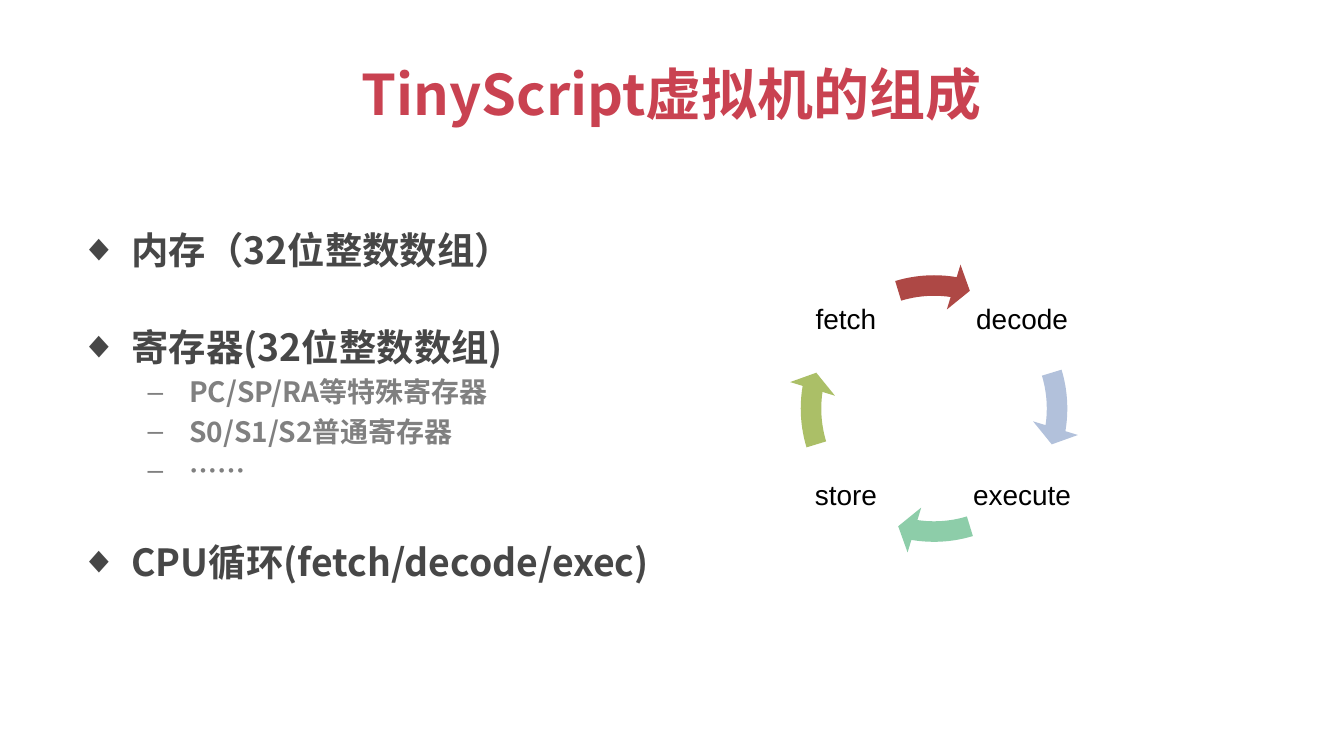
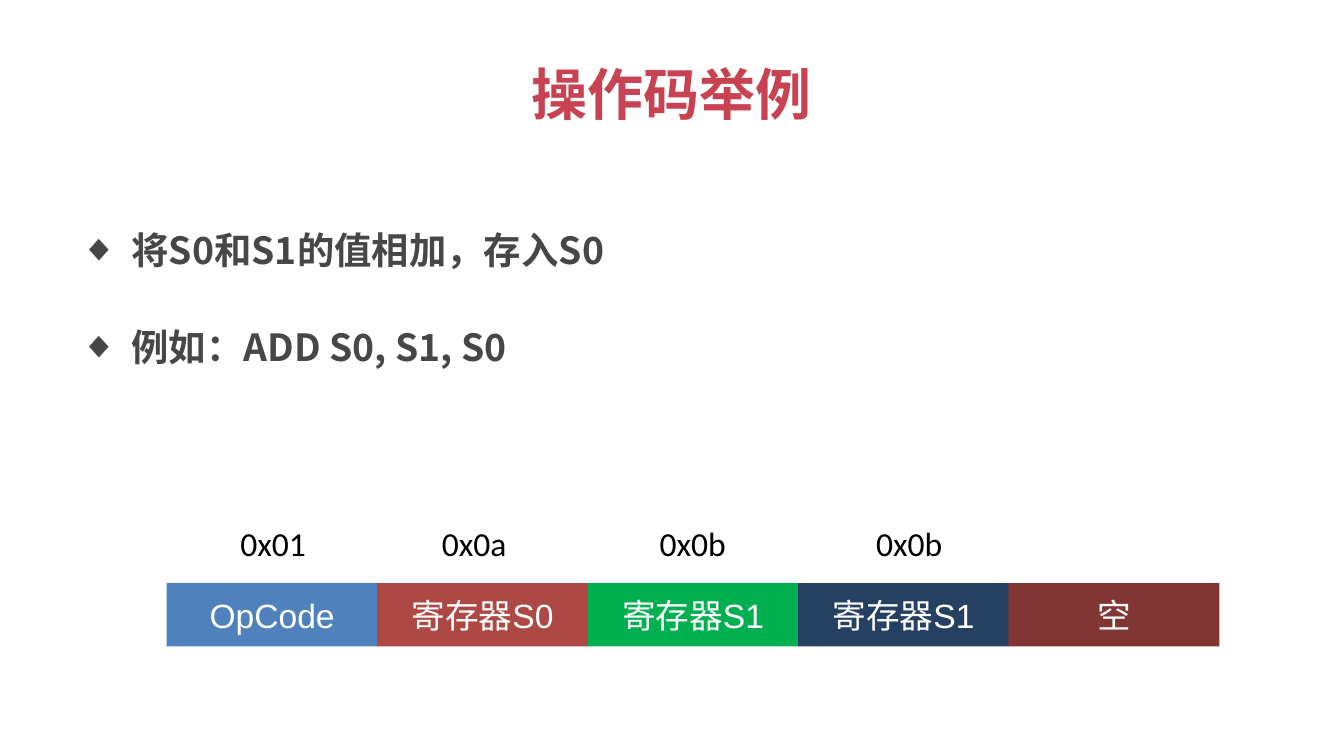
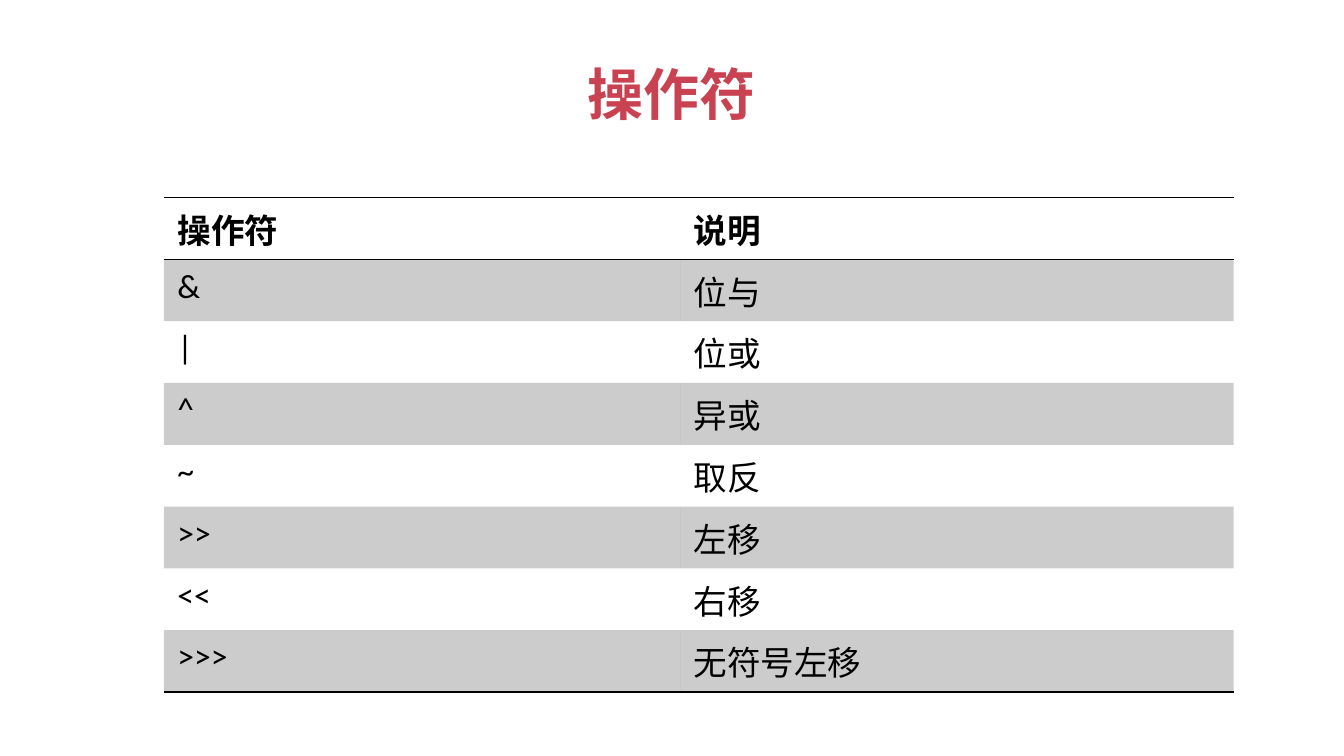
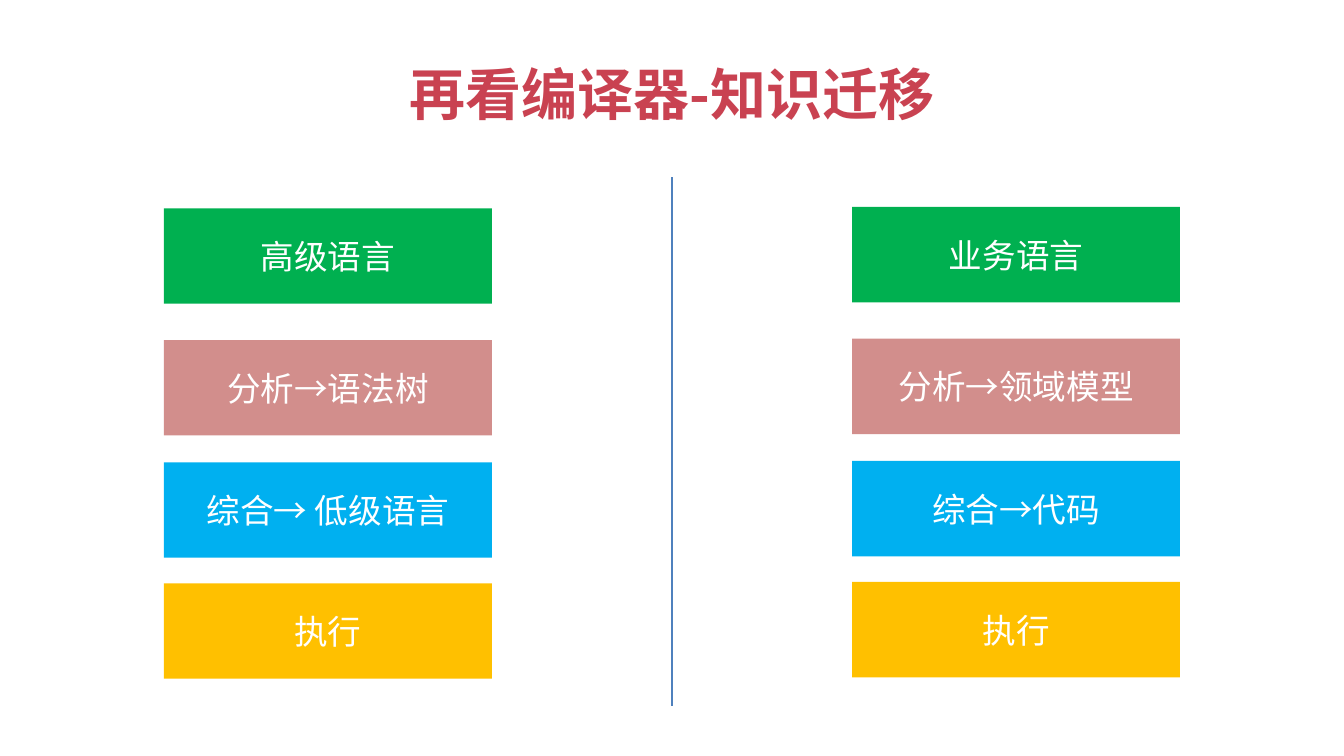
from dataclasses import dataclass

from lxml import etree
from pptx import Presentation
from pptx.dml.color import RGBColor
from pptx.enum.shapes import MSO_CONNECTOR, MSO_SHAPE
from pptx.enum.text import MSO_ANCHOR, MSO_AUTO_SIZE, PP_ALIGN
from pptx.oxml.ns import qn
from pptx.util import Inches, Pt

RECT = MSO_SHAPE.RECTANGLE
ARC = MSO_SHAPE.CIRCULAR_ARROW
LINE = MSO_CONNECTOR.STRAIGHT
LEFT, CENTER = PP_ALIGN.LEFT, PP_ALIGN.CENTER
TOP, MIDDLE = MSO_ANCHOR.TOP, MSO_ANCHOR.MIDDLE
FIT = MSO_AUTO_SIZE.SHAPE_TO_FIT_TEXT
PLAIN = "{2D5ABB26-0587-4C30-8999-92F81FD0307C}"


@dataclass(frozen=True)
class Theme:
    han: str = "Noto Sans CJK SC"
    sans: str = "Arial"
    label: str = "Calibri"
    title: str = "C94251"
    body: str = "474747"
    muted: str = "808080"
    black: str = "000000"
    white: str = "FFFFFF"
    blue: str = "4F81BD"
    red: str = "AE4845"
    green: str = "00B050"
    navy: str = "254061"
    maroon: str = "823634"
    rose: str = "D28E8C"
    sky: str = "00B0F0"
    gold: str = "FFC000"
    steel: str = "B2C1DB"
    mint: str = "8DCDA9"
    olive: str = "ABBF67"
    head: int = 30
    main: int = 20
    text: int = 18
    small: int = 15


T = Theme()


def color(code):
    return RGBColor.from_string(code)


def node(parent, tag, **attrs):
    return etree.SubElement(parent, qn(tag), **attrs)


def write(par, text, size=T.text, font=T.sans, tint=T.black, bold=False,
          align=LEFT, space=None, before=None):
    par.alignment = align
    if space is not None:
        par.line_spacing = space
    if before is not None:
        par.space_before = Pt(before)
    run = par.add_run()
    run.text = text
    run.font.size = Pt(size)
    run.font.name = font
    run.font.bold = bold
    run.font.color.rgb = color(tint)
    node(run.font._element, "a:ea", typeface=T.han)


def box(slide, x, y, w, h, anchor=TOP, pad=None, wrap=True):
    shape = slide.shapes.add_textbox(Inches(x), Inches(y), Inches(w), Inches(h))
    frame = shape.text_frame
    frame.word_wrap = wrap
    frame.vertical_anchor = anchor
    if not wrap:
        frame.auto_size = FIT
    if pad is not None:
        frame.margin_left = frame.margin_right = Inches(pad)
        frame.margin_top = frame.margin_bottom = Inches(pad)
    return frame


def solid(slide, kind, x, y, w, h, fill):
    shape = slide.shapes.add_shape(kind, Inches(x), Inches(y), Inches(w), Inches(h))
    shape.shadow.inherit = False
    shape.fill.solid()
    shape.fill.fore_color.rgb = color(fill)
    shape.line.fill.background()
    return shape


def block(slide, x, y, w, h, fill, text):
    frame = solid(slide, RECT, x, y, w, h, fill).text_frame
    frame.word_wrap = True
    frame.vertical_anchor = MIDDLE
    write(frame.paragraphs[0], text, tint=T.white, align=CENTER)


def page(deck, title):
    slide = deck.slides.add_slide(deck.slide_layouts[6])
    frame = box(slide, 0.5, 0.22, 9, 0.94, anchor=MIDDLE)
    write(frame.paragraphs[0], title, size=T.head, font=T.han, tint=T.title,
          bold=True, align=CENTER)
    return slide


def bullets(slide, height, items):
    frame = box(slide, 0.5, 1.31, 9, height)
    for i, (level, text) in enumerate(items):
        par = frame.add_paragraph() if i else frame.paragraphs[0]
        if level:
            size, tint, space, mark, left, hang = T.small, T.muted, 18, "–", 0.81, 0.31
        else:
            size, tint, space, mark, left, hang = T.main, T.body, 48, "◆", 0.38, 0.38
        par.level = level
        write(par, text, size=size, font=T.han, tint=tint, bold=True,
              space=Pt(space), before=size * 0.2)
        props = par._p.get_or_add_pPr()
        props.set("marL", str(Inches(left)))
        props.set("indent", str(-Inches(hang)))
        node(props, "a:buFont", typeface=T.sans)
        node(props, "a:buChar", char=mark)


def cycle(slide):
    near, far = (5.91, 2), (7.22, 3.31)
    steps = [
        ("decode", far[0], near[1], T.steel),
        ("execute", far[0], far[1], T.mint),
        ("store", near[0], far[1], T.olive),
        ("fetch", near[0], near[1], T.red),
    ]
    for i, (name, x, y, fill) in enumerate(steps):
        frame = box(slide, x, y, 0.77, 0.77, anchor=MIDDLE, pad=0.02)
        write(frame.paragraphs[0], name, size=T.small, align=CENTER, space=0.9)
        arc = solid(slide, ARC, 5.86, 1.95, 2.18, 2.18, fill)
        turn = 54 * i
        values = (0.07, 4.65, 5.51 + turn, (205.84 + turn) % 216, 0.08)
        for j, value in enumerate(values):
            arc.adjustments[j] = value


def rule(props, side):
    edge = node(props, side, w=str(Pt(1)))
    node(node(edge, "a:solidFill"), "a:srgbClr", val=T.black)


def grid(slide, rows):
    widths = (3.84, 4.12)
    height = 0.46
    frame = slide.shapes.add_table(len(rows), len(widths), Inches(1.22), Inches(1.47),
                                   Inches(sum(widths)), Inches(height * len(rows)))
    table = frame.table
    table.horz_banding = False
    table._tbl.tblPr.find(qn("a:tableStyleId")).text = PLAIN
    for col, width in zip(table.columns, widths):
        col.width = Inches(width)
    for r, row in enumerate(rows):
        table.rows[r].height = Inches(height)
        for c, text in enumerate(row):
            cell = table.cell(r, c)
            write(cell.text_frame.paragraphs[0], text, font=T.label, bold=r == 0)
            props = cell._tc.get_or_add_tcPr()
            if r == 0:
                rule(props, "a:lnT")
            if r in (0, len(rows) - 1):
                rule(props, "a:lnB")
            if r % 2:
                cell.fill.solid()
                cell.fill.fore_color.rgb = color(T.black)
                tone = props.find(qn("a:solidFill")).find(qn("a:srgbClr"))
                node(tone, "a:alpha", val="20000")
            else:
                cell.fill.background()


def divide(slide, x, top, end):
    line = slide.shapes.add_connector(LINE, Inches(x), Inches(top), Inches(x), Inches(end))
    line.line.color.rgb = color(T.blue)
    line.line.width = Pt(0.75)
    node(line._element.spPr, "a:effectLst")


def machine(deck):
    slide = page(deck, "TinyScript虚拟机的组成")
    bullets(slide, 3.71, [
        (0, "内存（32位整数数组）"),
        (0, "寄存器(32位整数数组)"),
        (1, "PC/SP/RA等特殊寄存器"),
        (1, "S0/S1/S2普通寄存器"),
        (1, "……"),
        (0, "CPU循环(fetch/decode/exec)"),
    ])
    cycle(slide)


def opcode(deck):
    slide = page(deck, "操作码举例")
    bullets(slide, 2.29, [(0, "将S0和S1的值相加，存入S0"), (0, "例如：ADD S0, S1, S0")])
    for x, code in ((1.69, "0x01"), (3.19, "0x0a"), (4.81, "0x0b"), (6.42, "0x0b")):
        frame = box(slide, x, 3.84, 0.7, 0.4, wrap=False)
        write(frame.paragraphs[0], code, font=T.label)
    fields = [("OpCode", T.blue), ("寄存器S0", T.red), ("寄存器S1", T.green),
              ("寄存器S1", T.navy), ("空", T.maroon)]
    step = 7.83 / len(fields)
    for i, (text, fill) in enumerate(fields):
        block(slide, 1.24 + i * step, 4.34, 1.57, 0.47, fill, text)


def signs(deck):
    slide = page(deck, "操作符")
    grid(slide, [("操作符", "说明"), ("&", "位与"), ("|", "位或"), ("^", "异或"),
                 ("~", "取反"), (">>", "左移"), ("<<", "右移"), (">>>", "无符号左移")])


def transfer(deck):
    slide = page(deck, "再看编译器-知识迁移")
    stacks = [
        (1.22, 0, ("高级语言", "分析→语法树", "综合→ 低级语言", "执行")),
        (6.34, -0.01, ("业务语言", "分析→领域模型", "综合→代码", "执行")),
    ]
    levels = ((1.55, T.green), (2.53, T.rose), (3.44, T.sky), (4.34, T.gold))
    for x, shift, names in stacks:
        for name, (y, fill) in zip(names, levels):
            block(slide, x, y + shift, 2.44, 0.71, fill, name)
    divide(slide, 5, 1.32, 5.25)


def main():
    deck = Presentation()
    deck.slide_width = Inches(10)
    deck.slide_height = Inches(10) * 9 // 16
    for build in (machine, opcode, signs, transfer):
        build(deck)
    deck.save("out.pptx")


if __name__ == "__main__":
    main()
